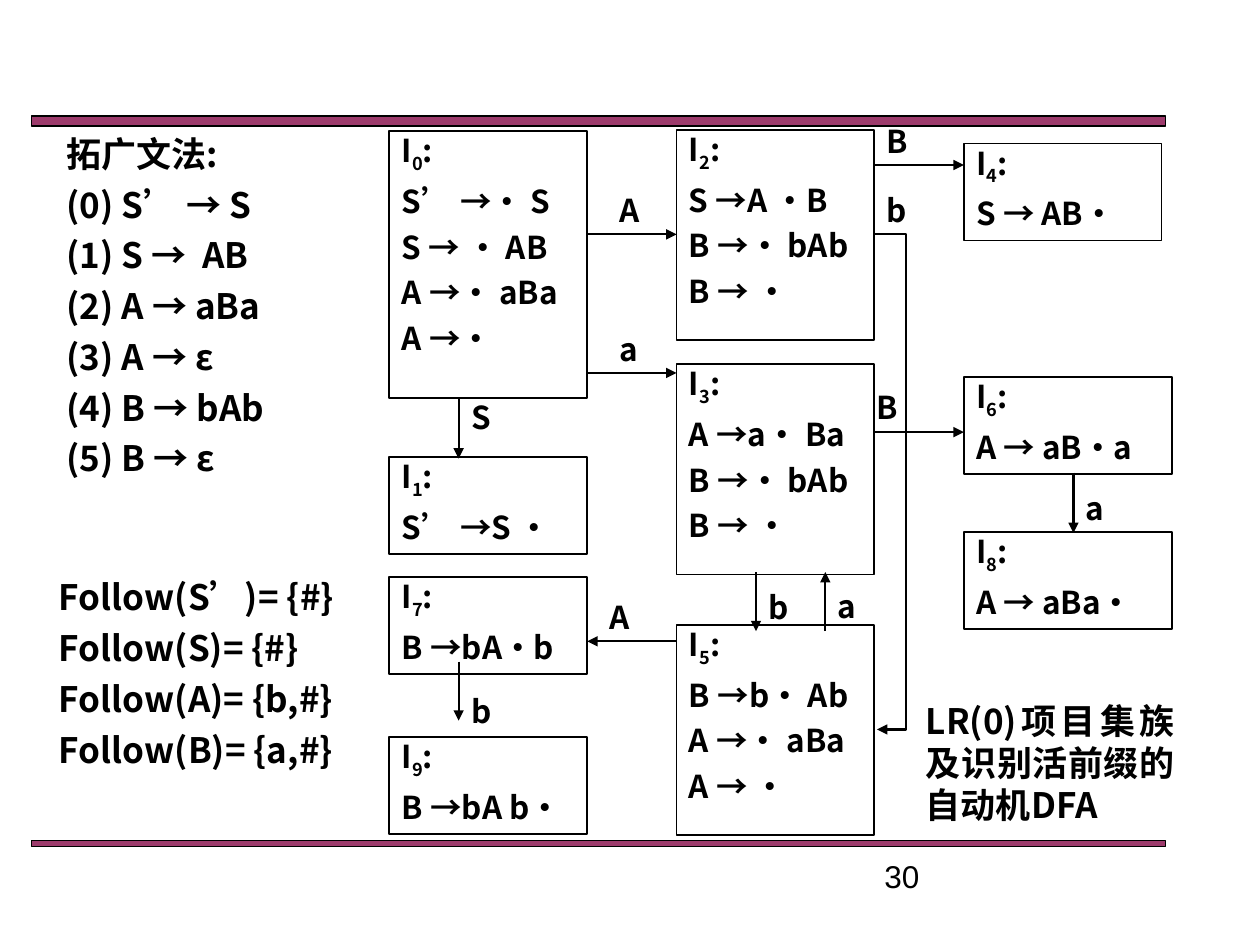
from lxml.etree import SubElement
from pptx import Presentation
from pptx.dml.color import RGBColor
from pptx.enum.shapes import MSO_CONNECTOR, MSO_SHAPE
from pptx.enum.text import MSO_ANCHOR, MSO_AUTO_SIZE, PP_ALIGN
from pptx.oxml.ns import qn
from pptx.util import Inches, Pt

COLORS = {"ink": "000000", "bar": "993366"}
CJK = "Noto Sans CJK SC"


class Diagram:
    def __init__(self, slide):
        self.slide = slide
        self.ink = RGBColor.from_string(COLORS["ink"])

    def rect(self, left, top, width, height, line_width):
        box = self.slide.shapes.add_shape(
            MSO_SHAPE.RECTANGLE, *map(Inches, (left, top, width, height)))
        box.shadow.inherit = False
        box.line.color.rgb = self.ink
        box.line.width = Pt(line_width)
        return box

    def bar(self, top, height):
        bar = self.rect(0.25, top, 9, height, 0.75)
        bar.fill.solid()
        bar.fill.fore_color.rgb = RGBColor.from_string(COLORS["bar"])
        color = bar._element.spPr.find(qn("a:solidFill"))[0]
        SubElement(color, qn("a:alpha")).set("val", "96000")

    def run(self, paragraph, text, size, font=CJK, bold=True, baseline=None):
        run = paragraph.add_run()
        run.text = text
        for key, value in {"size": Pt(size), "name": font, "bold": bold}.items():
            setattr(run.font, key, value)
        run.font.color.rgb = self.ink
        properties = run._r.get_or_add_rPr()
        SubElement(properties, qn("a:ea")).set("typeface", font)
        if baseline:
            properties.set("baseline", str(baseline))

    def fill_text(self, shape, lines, size, inset=0.05, align=PP_ALIGN.LEFT,
                  gap=0.25, **style):
        frame = shape.text_frame
        layout = {"word_wrap": True, "vertical_anchor": MSO_ANCHOR.TOP,
                  "auto_size": MSO_AUTO_SIZE.SHAPE_TO_FIT_TEXT,
                  "margin_top": Inches(inset), "margin_bottom": Inches(inset)}
        for key, value in layout.items():
            setattr(frame, key, value)
        for index, line in enumerate(lines):
            paragraph = frame.add_paragraph() if index else frame.paragraphs[0]
            paragraph.alignment = align
            paragraph.space_before = Pt(size * gap)
            parts = [(line, None)] if isinstance(line, str) else line
            for text, baseline in parts:
                self.run(paragraph, text, size, baseline=baseline, **style)

    def state(self, number, left, top, width, height, items):
        box = self.rect(left, top, width, height, 1)
        box.fill.background()
        title = [("I", None), (str(number), -25000), (":", None)]
        self.fill_text(box, [title, *items], 18, inset=0)

    def text(self, left, top, width, height, lines, size, **style):
        box = self.slide.shapes.add_textbox(
            *map(Inches, (left, top, width, height)))
        self.fill_text(box, lines, size, **style)

    def arrow(self, x1, y1, x2, y2, reach=None):
        kind = MSO_CONNECTOR.ELBOW if reach else MSO_CONNECTOR.STRAIGHT
        arrow = self.slide.shapes.add_connector(
            kind, *map(Inches, (x1, y1, x2, y2)))
        arrow.line.color.rgb = self.ink
        arrow.line.width = Pt(1.25)
        properties = arrow._element.spPr
        SubElement(arrow.line._get_or_add_ln(), qn("a:tailEnd")).set("type", "triangle")
        SubElement(properties, qn("a:effectLst"))
        if reach:
            guides = properties.find(qn("a:prstGeom")).get_or_add_avLst()
            guide = SubElement(guides, qn("a:gd"))
            guide.set("name", "adj1")
            guide.set("fmla", f"val {round(reach / (x2 - x1) * 100000)}")


presentation = Presentation()
presentation.slide_width = Inches(10)
presentation.slide_height = Inches(7.5)
diagram = Diagram(presentation.slides.add_slide(presentation.slide_layouts[6]))

diagram.bar(0.92, 0.08)
diagram.bar(6.67, 0.05)

LEFT, MIDDLE, RIGHT = 3.09, 5.37, 7.65
WIDTH, WIDE = 1.57, 1.65
SHORT, MEDIUM, TALL = 0.77, 1.67, 2.12
states = [
    (0, LEFT, 1.04, WIDTH, TALL, ["S’ →· S", "S → · AB", "A →· aBa", "A →·"]),
    (1, LEFT, 3.63, WIDTH, SHORT, ["S’ →S ·"]),
    (7, LEFT, 4.58, WIDTH, SHORT, ["B →bA·b"]),
    (9, LEFT, 5.85, WIDTH, SHORT, ["B →bA b·"]),
    (2, MIDDLE, 1.03, WIDTH, MEDIUM, ["S →A ·B", "B →· bAb", "B → ·"]),
    (3, MIDDLE, 2.89, WIDTH, MEDIUM, ["A →a· Ba", "B →· bAb", "B → ·"]),
    (5, MIDDLE, 4.96, WIDTH, MEDIUM, ["B →b· Ab", "A →· aBa", "A → ·"]),
    (4, RIGHT, 1.14, WIDTH, SHORT, ["S → AB·"]),
    (6, RIGHT, 2.99, WIDE, SHORT, ["A → aB·a"]),
    (8, RIGHT, 4.22, WIDE, SHORT, ["A → aBa·"]),
]
for state in states:
    diagram.state(*state)

LEFT_EDGE, MIDDLE_EDGE = 4.66, 6.94
transitions = [
    ("A", 4.82, 1.47, (LEFT_EDGE, 1.86, MIDDLE, 1.86)),
    ("a", 4.82, 2.57, (LEFT_EDGE, 2.96, MIDDLE, 2.96)),
    ("S", 3.64, 3.11, (3.64, 3.17, 3.64, 3.64)),
    ("b", 3.64, 5.44, (3.64, 5.25, 3.64, 5.72)),
    ("B", 6.94, 0.92, (MIDDLE_EDGE, 1.31, RIGHT, 1.31)),
    ("B", 6.86, 3.03, (MIDDLE_EDGE, 3.43, RIGHT, 3.43)),
    ("a", 8.52, 3.83, (8.52, 3.75, 8.52, 4.23)),
    ("b", 6, 4.62, (6, 4.54, 6, 5.01)),
    ("a", 6.55, 4.61, (6.55, 5.01, 6.55, 4.54)),
    ("A", 4.74, 4.7, (MIDDLE, 5.09, LEFT_EDGE, 5.09)),
    ("b", 6.94, 1.47, (MIDDLE_EDGE, 1.86, 6.96, 5.79, 0.25)),
]
for symbol, left, top, route in transitions:
    diagram.arrow(*route)
    diagram.text(left, top, 0.31, 0.4, [symbol], 18)

grammar = ["拓广文法:", "(0) S’ → S", "(1) S →  AB", "(2) A → aBa",
           "(3) A → ε", "(4) B → bAb", "(5) B → ε"]
diagram.text(0.43, 1.05, 2.15, 3.37, grammar, 20, inset=0)

follow_sets = {"S’": "#", "S": "#", "A": "b,#", "B": "a,#"}
follow_lines = [f"Follow({symbol})= {{{members}}}"
                for symbol, members in follow_sets.items()]
diagram.text(0.37, 4.57, 2.46, 1.85, follow_lines, 20, inset=0)

diagram.text(7.25, 5.5, 2.17, 1.11, ["LR(0)项目集族及识别活前缀的自动机DFA"], 20,
             align=PP_ALIGN.JUSTIFY)
diagram.text(6.92, 6.75, 2.33, 0.27, ["30"], 18, gap=0, font="Arial", bold=False)

presentation.save("out.pptx")
